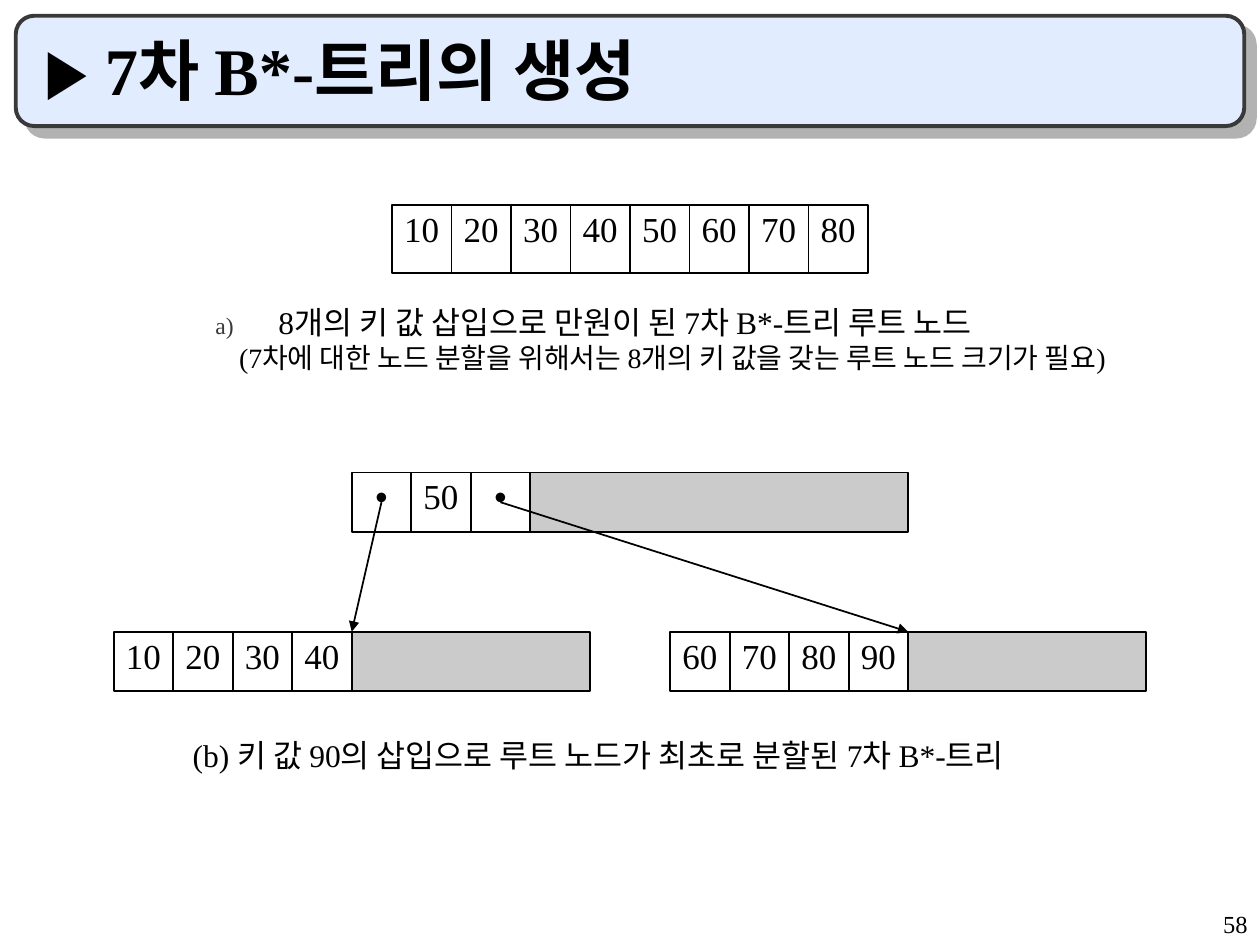
from lxml import etree
from pptx import Presentation
from pptx.dml.color import RGBColor
from pptx.enum import shapes, text
from pptx.oxml.ns import qn
from pptx.util import Pt

COLORS = {"ink": "000000", "edge": "393939", "banner": "E1ECFF",
          "shade": "B2B2B2", "free": "CBCBCB"}
SERIF = "Times New Roman"
CELL = 34  # width of one key, and height of a tree node


def color(name):
    return RGBColor.from_string(COLORS[name])


def style(par, size, font=SERIF, bold=False, align=text.PP_ALIGN.LEFT):
    par.alignment = align
    for run in par.runs:
        run.font.size = Pt(size)
        run.font.name = font
        run.font.bold = bold
        run.font.color.rgb = color("ink")


def add_rect(parent, box, fill=None, line="ink", width=1,
             kind=shapes.MSO_SHAPE.RECTANGLE):
    rect = parent.add_shape(kind, *map(Pt, box))
    rect.shadow.inherit = False
    if fill:
        rect.fill.solid()
        rect.fill.fore_color.rgb = color(fill)
    else:
        rect.fill.background()
    rect.line.color.rgb = color(line)
    rect.line.width = Pt(width)
    return rect


def add_title(slide, words):
    title = slide.shapes.title
    title.left, title.top, title.width, title.height = map(Pt, (18, 18, 678, 48))
    frame = title.text_frame
    frame.text = words
    frame.vertical_anchor = text.MSO_ANCHOR.BOTTOM
    style(frame.paragraphs[0], 38, bold=True)

    banner = add_rect(slide.shapes, (9, 9, 702, 63), "banner", "edge", 2.25,
                      shapes.MSO_SHAPE.ROUNDED_RECTANGLE)
    effects = banner.element.spPr.find(qn("a:effectLst"))
    shade = etree.SubElement(effects, qn("a:outerShdw"), dist=str(Pt(8.5)),
                             dir="2700000", algn="ctr", rotWithShape="0")
    etree.SubElement(shade, qn("a:srgbClr"), val=COLORS["shade"])
    title.element.addprevious(banner.element)


def add_node(parent, left, top, keys, free=0, height=CELL):
    """Draw a row of key cells, then the free space in grey."""
    for i, key in enumerate(keys):
        cell = add_rect(parent, (left + i * CELL, top, CELL, height))
        frame = cell.text_frame
        frame.text = key
        frame.word_wrap = False
        frame.vertical_anchor = text.MSO_ANCHOR.TOP
        frame.margin_left = frame.margin_right = 0
        frame.margin_top = Pt(6)
        par = frame.paragraphs[0]
        par.line_spacing = 0.8
        style(par, 20, "Arial" if key == "•" else SERIF,
              align=text.PP_ALIGN.CENTER)
    if free:
        add_rect(parent, (left + len(keys) * CELL, top, free, height), "free")


def add_arrow(parent, start, end):
    arrow = parent.add_connector(shapes.MSO_CONNECTOR.STRAIGHT,
                                 *map(Pt, start + end))
    arrow.line.color.rgb = color("ink")
    arrow.line.width = Pt(1)
    etree.SubElement(arrow.line._get_or_add_ln(), qn("a:tailEnd"),
                     type="triangle")
    etree.SubElement(arrow.element.spPr, qn("a:effectLst"))


def add_text(slide, box, lines, sizes, wrap=True, space=0.8,
             align=text.PP_ALIGN.LEFT):
    frame = slide.shapes.add_textbox(*map(Pt, box)).text_frame
    frame.word_wrap = wrap
    frame.text = "\n".join(lines)
    for par, size in zip(frame.paragraphs, sizes):
        par.line_spacing = space
        style(par, size, align=align)
    return frame.paragraphs


def add_letter(par):
    """Number the paragraph a), b), ... with a hanging indent."""
    props = par._p.get_or_add_pPr()
    props.set("marL", str(Pt(36)))
    props.set("indent", str(-Pt(36)))
    tint = etree.SubElement(props, qn("a:buClr"))
    etree.SubElement(tint, qn("a:srgbClr"), val=COLORS["edge"])
    etree.SubElement(props, qn("a:buSzPct"), val="75000")
    etree.SubElement(props, qn("a:buFont"), typeface=SERIF)
    etree.SubElement(props, qn("a:buAutoNum"), type="alphaLcParenR")


def add_tree(slide):
    tree = slide.shapes.add_group_shape().shapes
    root, leaf = 270, 361
    left, right = 65, 383
    start = left + 4 * CELL
    add_node(tree, start, root, ["•", "50", "•"], 216)
    add_node(tree, left, leaf, ["10", "20", "30", "40"], 4 * CELL)
    add_node(tree, right, leaf, ["60", "70", "80", "90"], 4 * CELL)
    for slot, child in ((0, left), (2, right)):
        add_arrow(tree, (start + (slot + 0.5) * CELL, root + CELL / 2),
                  (child + 4 * CELL, leaf))


def main():
    deck = Presentation()
    deck.slide_width, deck.slide_height = Pt(720), Pt(540)
    slide = deck.slides.add_slide(deck.slide_layouts[5])
    add_title(slide, "▶ 7차 B*-트리의 생성")

    full = slide.shapes.add_group_shape().shapes
    add_node(full, 224, 117, [str(key) for key in range(10, 90, 10)], height=39)
    head, note = add_text(
        slide, (116, 173.5, 567, 46),
        ["8개의 키 값 삽입으로 만원이 된 7차 B*-트리 루트 노드",
         "(7차에 대한 노드 분할을 위해서는 8개의 키 값을 갖는 루트 노드 크기가 필요)"],
        [18, 16])
    add_letter(head)
    note.space_before = Pt(4)
    note._p.get_or_add_pPr().set("marL", str(Pt(13.5)))

    add_tree(slide)
    add_text(slide, (103, 421, 517, 24.5),
             ["(b) 키 값 90의 삽입으로 루트 노드가 최초로 분할된 7차 B*-트리"],
             [18], wrap=False)
    add_text(slide, (570, 516, 150, 24), ["58"], [14], space=1,
             align=text.PP_ALIGN.RIGHT)
    deck.save("out.pptx")


if __name__ == "__main__":
    main()
